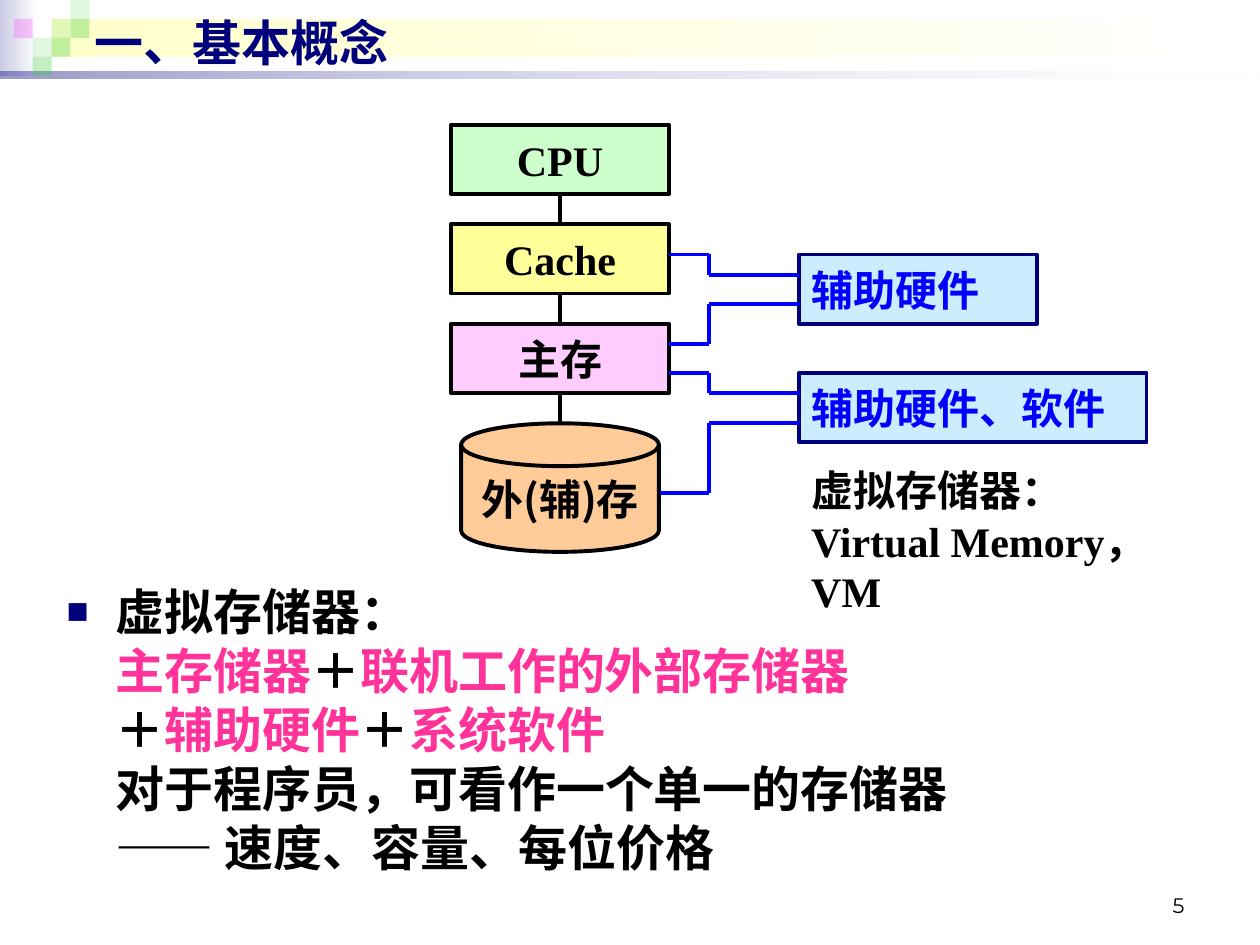
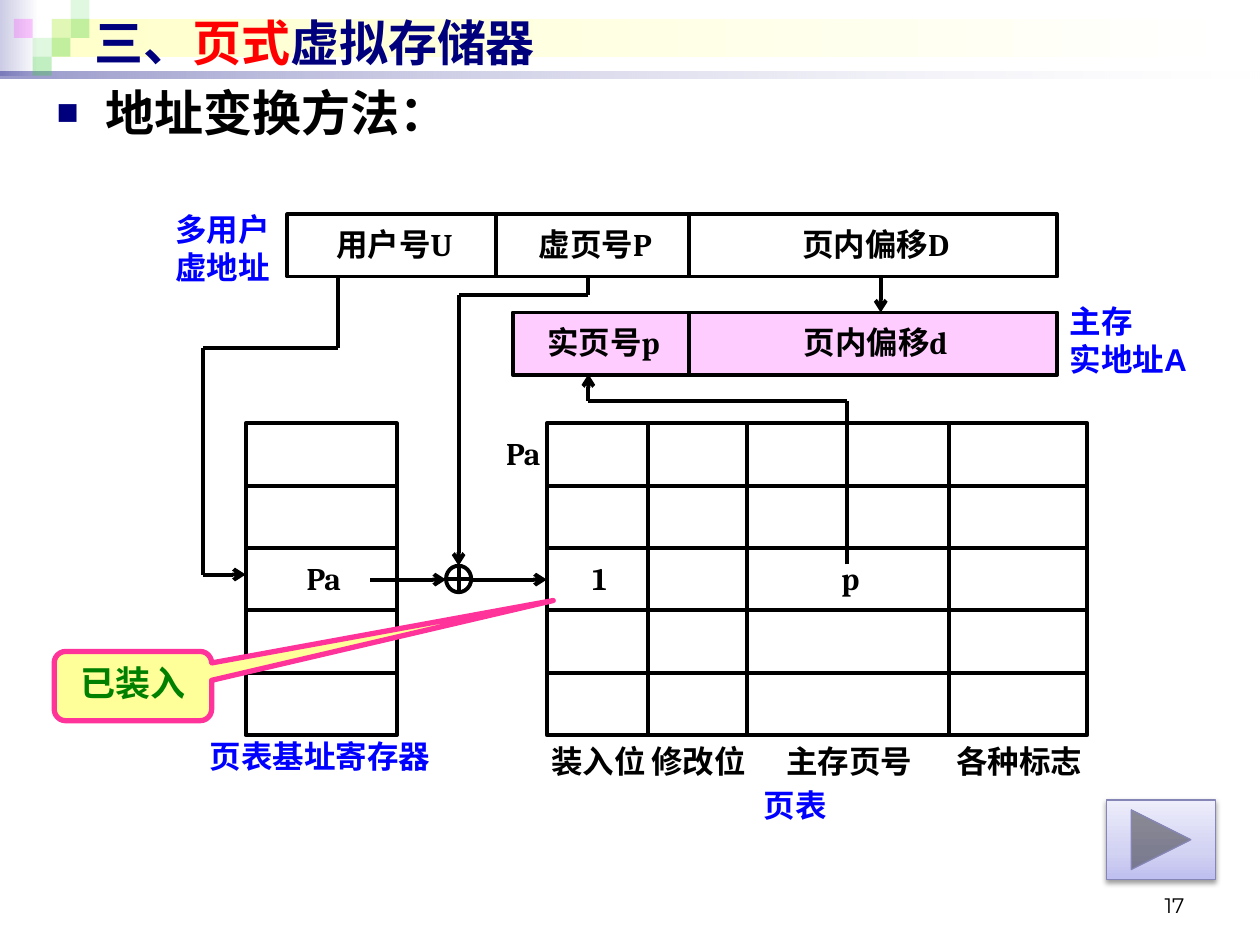
"""Builds two lecture slides on virtual memory: basic concepts and paged address translation."""
from itertools import pairwise, product

from lxml import etree
from pptx import Presentation
from pptx.dml.color import RGBColor
from pptx.enum.shapes import MSO_CONNECTOR, MSO_SHAPE
from pptx.enum.text import MSO_ANCHOR, PP_ALIGN
from pptx.oxml.ns import qn
from pptx.util import Inches, Pt

RECT = MSO_SHAPE.RECTANGLE
DISK = MSO_SHAPE.FLOWCHART_MAGNETIC_DISK
ADDER = MSO_SHAPE.FLOWCHART_OR
CALLOUT = MSO_SHAPE.ROUNDED_RECTANGULAR_CALLOUT
NEXT_BUTTON = MSO_SHAPE.ACTION_BUTTON_FORWARD_OR_NEXT
STRAIGHT = MSO_CONNECTOR.STRAIGHT
LEFT, CENTER, RIGHT = PP_ALIGN.LEFT, PP_ALIGN.CENTER, PP_ALIGN.RIGHT
TOP, MIDDLE, BOTTOM = MSO_ANCHOR.TOP, MSO_ANCHOR.MIDDLE, MSO_ANCHOR.BOTTOM

WIDTH, HEIGHT = 10, 7.5
SERIF, SANS, CELL_FONT = "Times New Roman", "Arial", "Cambria"
CJK, NUMBER_FONT = "Noto Sans CJK SC", "Montserrat"
NAVY, BLACK, BLUE, RED = "00007D", "000000", "0000FF", "FF0000"
PINK, ROSE, YELLOW, SKY = "FF3399", "FFCCFF", "FFFF99", "CCECFF"
GREEN, LEAF, MAGENTA = "008000", "33CC33", "FF00FF"
WIDE_INSET, CELL_INSET = (0.1, 0.05, 0.1, 0.05), (0.08, 0, 0.04, 0.02)
LABEL_INSET = (0.02, 0, 0, 0.02)
LINE_WIDTH, LEADING = 2.25, 1.2

TILE = 0.15
TILE_LEFT = 0.11
BANDS = [
    ((0, 0, 0.31, 0.6), [(0, "CCCCE6", 100), (100, "FFFFFF", 100)]),
    ((0.41, 0.15, 9.55, 0.3), [(0, "FFFFCC", 100), (100, "FFFFFF", 100)]),
    ((0, 0.57, WIDTH, 0.05), [(0, NAVY, 40), (100, "FFFFFF", 10)]),
]
TILES = [
    (2, 1, LEAF, 15), (3, 0, LEAF, 15), (3, 1, LEAF, 30), (1, 2, LEAF, 15),
    (0, 1, MAGENTA, 20), (2, 2, LEAF, 30), (1, 3, LEAF, 30),
]

CONCEPT_TITLE = [("一、基本概念", NAVY)]
CONCEPT_TEXT = [
    ("虚拟存储器：\n", BLACK),
    ("主存储器", PINK), ("＋", BLACK), ("联机工作的外部存储器\n", PINK),
    ("＋", BLACK), ("辅助硬件", PINK), ("＋", BLACK), ("系统软件\n", PINK),
    ("对于程序员，可看作一个单一的存储器\n—— 速度、容量、每位价格", BLACK),
]
STACK_LEFT, STACK_TOP, STACK_WIDTH, STACK_PITCH, LEVEL_HEIGHT = 3.58, 0.99, 1.73, 0.79, 0.55
LEVELS = [("CPU", "CCFFCC"), ("Cache", YELLOW), ("主存", ROSE)]
DISK_BOX = (3.66, 3.36, 1.57, 1.02)
DISK_TEXT = [("外", BLACK), ("(", BLACK, CJK), ("辅", BLACK), (")", BLACK, CJK), ("存", BLACK)]
HELPER_LEFT, BEND = 6.34, 5.63
HELPERS = [("辅助硬件", 2.02, 1.89), ("辅助硬件、软件", 2.96, 2.76)]
HELPER_LINKS = [(5.31, 2.02, 2.18), (5.31, 2.73, 2.41), (5.31, 2.96, 3.12), (5.24, 3.91, 3.36)]
VM_NOTE = ["虚拟存储器：", "Virtual Memory，\nVM"]

PAGING_TITLE = [("三、", NAVY), ("页式", RED), ("虚拟存储器", NAVY)]
PAGING_TEXT = [("地址变换方法：", BLACK)]
ROW, ROWS, GRID_TOP, HIT_ROW = 0.495, 5, 3.36, 2
REGISTER_LEFT, REGISTER_WIDTH = 1.95, 1.2
TABLE_EDGES = [4.34, 5.14, 5.93, 7.53, 8.63]
TABLE_LABELS = ["装入位", "修改位", "主存页号", "各种标志"]
HIT_VALUES = ["1", "", "p", ""]
ADDRESSES = [
    (1.7, [2.28, 3.94, 5.47, 8.39], ["用户号U", "虚页号P", "页内偏移D"], None),
    (2.48, [4.07, 5.47, 8.39], ["实页号p", "页内偏移d"], ROSE),
]
ROUTES = [
    [(2.68, 2.19), (2.68, 2.76), (1.61, 2.76), (1.61, 4.56), (1.95, 4.56)],
    [(4.67, 2.19), (4.67, 2.34), (3.64, 2.34), (3.64, 4.49)],
    [(2.94, 4.6), (3.54, 4.6)],
    [(3.74, 4.6), (4.34, 4.6)],
    [(6.99, 2.19), (6.99, 2.48)],
    [(6.72, 4.48), (6.72, 3.18), (4.67, 3.18), (4.67, 2.97)],
]
CAPTIONS = [
    ((1.53, 5.8, 2, 0.42), ["页表基址寄存器"], CENTER, MIDDLE, LABEL_INSET),
    ((5.8, 6.19, 1, 0.42), ["页表"], CENTER, MIDDLE, LABEL_INSET),
    ((8.39, 2.35, 1.26, 0.7), ["主存", "实地址A"], LEFT, TOP, WIDE_INSET),
    ((0.98, 1.62, 1.26, 0.7), ["多用户", "虚地址"], RIGHT, TOP, WIDE_INSET),
]
BUTTON_STOPS = [(0, "BFBFF0", 100), (35, "D2D2F3", 100), (100, "EDEDFB", 100)]


def color(value):
    return RGBColor.from_string(value)


def child(parent, tag, **attributes):
    return etree.SubElement(parent, qn(tag), {key: str(value) for key, value in attributes.items()})


def add_alpha(color_element, percent):
    if percent < 100:
        child(color_element, "a:alpha", val=percent * 1000)


def fill_gradient(shape, stops, angle=0):
    shape.fill.gradient()
    shape.fill.gradient_angle = angle
    stop_list = shape.element.spPr.find(qn("a:gradFill")).find(qn("a:gsLst"))
    for stop in list(stop_list):
        stop_list.remove(stop)
    for position, value, alpha in stops:
        stop = child(stop_list, "a:gs", pos=position * 1000)
        add_alpha(child(stop, "a:srgbClr", val=value), alpha)


def write(shape, paragraphs, size, font, align=LEFT, anchor=MIDDLE, inset=WIDE_INSET,
          bold=True, bullet=False):
    frame = shape.text_frame
    frame.word_wrap = align != CENTER
    frame.vertical_anchor = anchor
    frame.margin_left, frame.margin_top, frame.margin_right, frame.margin_bottom = map(Inches, inset)
    for index, spans in enumerate(paragraphs):
        para = frame.add_paragraph() if index else frame.paragraphs[0]
        para.alignment = align
        para.line_spacing = Pt(round(size * LEADING, 1))
        if bullet:
            add_bullet(para)
        for text, value, *special in spans:
            for part, line in enumerate(text.split("\n")):
                if part:
                    para.add_line_break()
                if line:
                    add_span(para, line, value, size, special[0] if special else font, bold)


def add_span(para, text, value, size, font, bold):
    span = para.add_run()
    span.text = text
    span.font.size, span.font.bold, span.font.name = Pt(size), bold, font
    span.font.color.rgb = color(value)
    child(span.font._element, "a:ea", typeface=CJK)


def add_bullet(para):
    properties = para._p.get_or_add_pPr()
    properties.set("marL", str(Inches(0.39)))
    properties.set("indent", str(Inches(-0.39)))
    child(child(properties, "a:buClr"), "a:srgbClr", val=NAVY)
    child(properties, "a:buSzPct", val=75000)
    child(properties, "a:buFont", typeface=SERIF)
    child(properties, "a:buChar", char="■")


def add_box(page, kind, place, fill=None, outline=BLACK, width=LINE_WIDTH):
    box = page.shapes.add_shape(kind, *map(Inches, place))
    box.shadow.inherit = False
    if fill:
        box.fill.solid()
        box.fill.fore_color.rgb = color(fill)
    else:
        box.fill.background()
    if outline:
        box.line.color.rgb = color(outline)
        box.line.width = Pt(width)
    else:
        box.line.fill.background()
    return box


def add_text(page, place, paragraphs, size, font, **style):
    write(page.shapes.add_textbox(*map(Inches, place)), paragraphs, size, font, **style)


def add_route(page, points, value=BLACK, arrow=False):
    for start, end in pairwise(points):
        line = page.shapes.add_connector(STRAIGHT, *map(Inches, start + end))
        line.line.color.rgb = color(value)
        line.line.width = Pt(LINE_WIDTH)
        if arrow and end == points[-1]:
            child(line.element.spPr.find(qn("a:ln")), "a:tailEnd", type="arrow")
        child(line.element.spPr, "a:effectLst")


def add_page(deck, title, number):
    page = deck.slides.add_slide(deck.slide_layouts[5])
    for place, stops in BANDS:
        fill_gradient(add_box(page, RECT, place, outline=None), stops)
    for column, row, value, alpha in TILES:
        place = (TILE_LEFT + column * TILE, row * TILE, TILE, TILE)
        tile = add_box(page, RECT, place, value, None)
        add_alpha(tile.element.spPr.find(qn("a:solidFill"))[0], alpha)
    heading = page.shapes.title
    page.shapes.element.append(heading.element)
    heading.left, heading.top, heading.width, heading.height = map(Inches, (0.65, 0.05, 9, 0.57))
    write(heading, [title], 28, SANS)
    add_text(page, (7.17, 6.93, 2.33, 0.4), [[(number, BLACK)]], 12, NUMBER_FONT,
             align=RIGHT, anchor=BOTTOM, bold=False)
    return page


def build_concepts(deck):
    page = add_page(deck, CONCEPT_TITLE, "5")
    add_text(page, (0.43, 4.57, 9.15, 2.68), [CONCEPT_TEXT], 28, SERIF, anchor=TOP, bullet=True)
    disk = add_box(page, DISK, DISK_BOX, "FFCC99")
    write(disk, [DISK_TEXT], 24, SERIF, align=CENTER)
    middle = STACK_LEFT + STACK_WIDTH / 2
    for index, (name, fill) in enumerate(LEVELS):
        top = STACK_TOP + index * STACK_PITCH
        level = add_box(page, RECT, (STACK_LEFT, top, STACK_WIDTH, LEVEL_HEIGHT), fill)
        write(level, [[(name, BLACK)]], 24, SERIF, align=CENTER)
        add_route(page, [(middle, top + LEVEL_HEIGHT), (middle, top + STACK_PITCH)])
    for name, top, width in HELPERS:
        helper = add_box(page, RECT, (HELPER_LEFT, top, width, LEVEL_HEIGHT), SKY, NAVY)
        write(helper, [[(name, BLUE)]], 24, SERIF)
    for left, start, end in HELPER_LINKS:
        add_route(page, [(left, start), (BEND, start), (BEND, end), (HELPER_LEFT, end)], BLUE)
    add_text(page, (HELPER_LEFT, 3.64, 3.44, 1.3), [[(line, BLACK)] for line in VM_NOTE],
             24, SERIF, anchor=TOP)


def build_paging(deck):
    page = add_page(deck, PAGING_TITLE, "17")
    add_text(page, (0.35, 0.61, 9.45, 0.63), [PAGING_TEXT], 28, SERIF, anchor=TOP, bullet=True)

    def add_cell(left, top, width, text="", fill=None):
        cell = add_box(page, RECT, (left, top, width, ROW), fill)
        if text:
            write(cell, [[(text, BLACK)]], 18, CELL_FONT, align=CENTER, inset=CELL_INSET)

    def add_label(place, text, align, inset):
        add_text(page, place, [[(text, BLACK)]], 18, CELL_FONT, align=align, inset=inset)

    columns = [(left, right - left) for left, right in pairwise(TABLE_EDGES)]
    grid = [(REGISTER_LEFT, REGISTER_WIDTH, "Pa")]
    grid += [(left, width, value) for (left, width), value in zip(columns, HIT_VALUES)]
    for row, (left, width, value) in product(range(ROWS), grid):
        add_cell(left, GRID_TOP + row * ROW, width, value if row == HIT_ROW else "")
    for (left, width), name in zip(columns, TABLE_LABELS):
        add_label((left, 5.8, width, ROW), name, CENTER, LABEL_INSET)
    add_label((3.67, GRID_TOP, 0.66, ROW), "Pa", RIGHT, CELL_INSET)
    for top, edges, names, fill in ADDRESSES:
        for (left, right), name in zip(pairwise(edges), names):
            add_cell(left, top, right - left, name, fill)
    add_box(page, ADDER, (3.54, 4.49, 0.2, 0.21))
    for points in ROUTES:
        add_route(page, points, arrow=True)
    for place, lines, align, anchor, inset in CAPTIONS:
        add_text(page, place, [[(line, BLUE)] for line in lines], 18, SANS,
                 align=align, anchor=anchor, inset=inset)

    loaded = add_box(page, CALLOUT, (0.43, 5.17, 1.25, 0.55), YELLOW, PINK, 3)
    for index, value in enumerate((2.669, -1.235, 0.167)):
        loaded.adjustments[index] = value
    write(loaded, [[("已装入", GREEN)]], 20, SANS, align=CENTER, anchor=TOP)

    button = add_box(page, NEXT_BUTTON, (8.78, 6.35, 0.87, 0.63), outline="8686B6", width=0.75)
    fill_gradient(button, BUTTON_STOPS, 90)
    shadow = child(button.element.spPr.find(qn("a:effectLst")), "a:outerShdw",
                   blurRad=Pt(3.1), dist=Pt(1.6), dir=5400000, rotWithShape=0)
    add_alpha(child(shadow, "a:srgbClr", val=BLACK), 38)


def main():
    deck = Presentation()
    deck.slide_width, deck.slide_height = Inches(WIDTH), Inches(HEIGHT)
    build_concepts(deck)
    build_paging(deck)
    deck.save("out.pptx")


if __name__ == "__main__":
    main()
